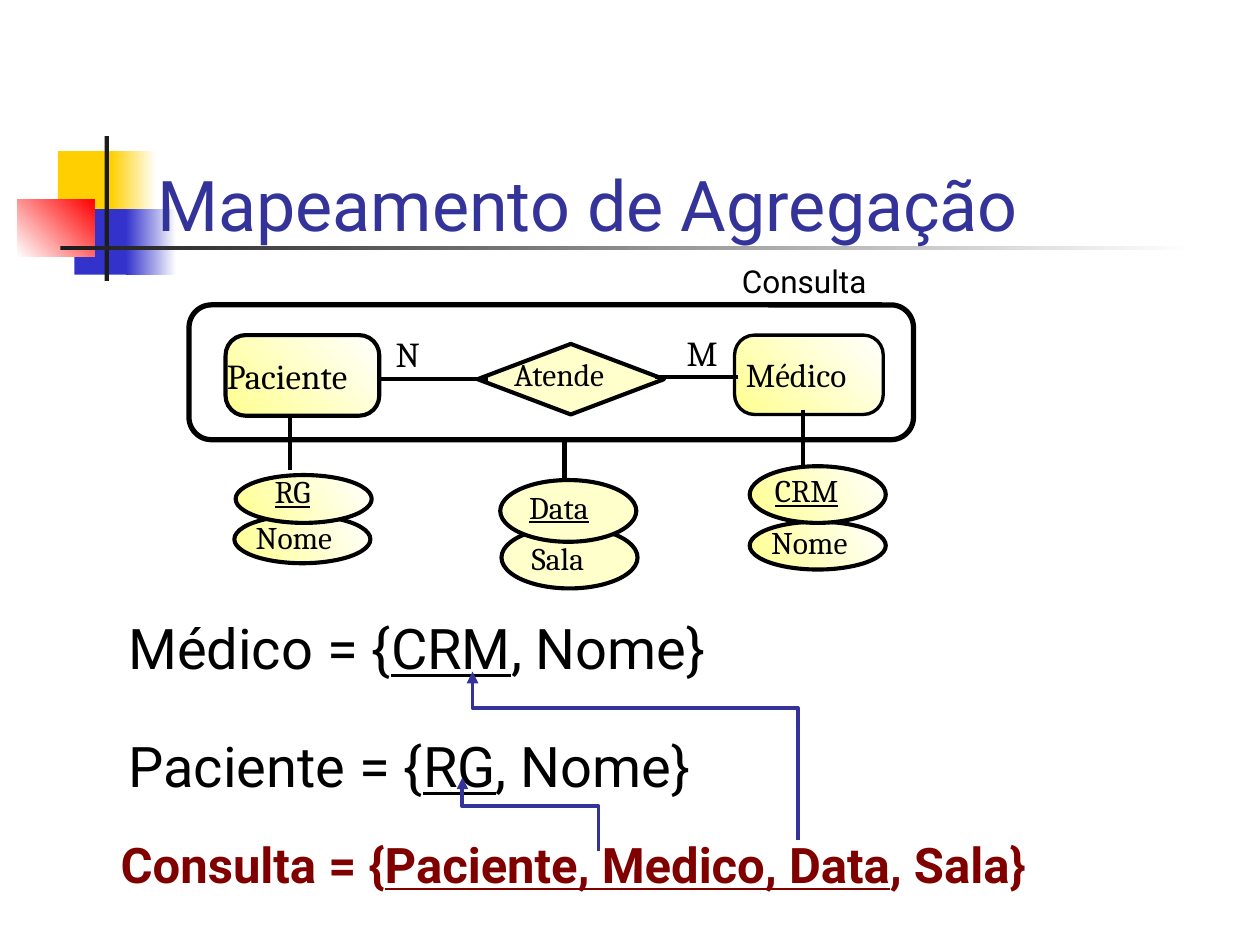
from lxml import etree
from pptx import Presentation
from pptx.dml.color import RGBColor
from pptx.enum.shapes import MSO_CONNECTOR, MSO_SHAPE
from pptx.enum.text import MSO_ANCHOR, PP_ALIGN
from pptx.oxml.ns import qn
from pptx.util import Inches, Pt

RECT, ROUND = MSO_SHAPE.RECTANGLE, MSO_SHAPE.ROUNDED_RECTANGLE
OVAL, RHOMB = MSO_SHAPE.OVAL, MSO_SHAPE.DIAMOND
LINE, LEFT = MSO_CONNECTOR.STRAIGHT, PP_ALIGN.LEFT
TOP, LOW = MSO_ANCHOR.TOP, MSO_ANCHOR.BOTTOM

BLACK = RGBColor(0, 0, 0)
WHITE = RGBColor(255, 255, 255)
INK = RGBColor(0x1C, 0x1C, 0x1C)
GOLD = RGBColor(0xFF, 0xCF, 0x01)
BLUE = RGBColor(0x33, 0x33, 0xCC)
NAVY = RGBColor(0x33, 0x33, 0x99)
RED = RGBColor(255, 0, 0)
WINE = RGBColor(0x80, 0, 0)
CREAM = RGBColor(0xFF, 0xFF, 0xCC)
LEMON = RGBColor(0xFF, 0xFF, 0x90)

# Gradients: first colour, last colour, counter-clockwise angle
BOX_FADE = (LEMON, WHITE, 45)
OVAL_FADE = (LEMON, WHITE, 30)

SANS, SERIF = "Roboto", "Cambria"
COLS, ROWS = 100, 75
PEN = 2.35


class Page:
    """Slide on a grid of 100 columns and 75 rows."""

    def __init__(self, deck):
        deck.slide_width, deck.slide_height = Inches(10), Inches(7.5)
        self.cell_w = deck.slide_width / COLS
        self.cell_h = deck.slide_height / ROWS
        self.slide = deck.slides.add_slide(deck.slide_layouts[5])
        self.shapes = self.slide.shapes

    def spot(self, col, row):
        return round(col * self.cell_w), round(row * self.cell_h)

    def area(self, box):
        return self.spot(*box[:2]) + self.spot(*box[2:])

    def paint(self, shape, fill):
        if fill is None:
            shape.fill.background()
        elif isinstance(fill, RGBColor):
            shape.fill.solid()
            shape.fill.fore_color.rgb = fill
        else:
            shape.fill.gradient()
            shape.fill.gradient_angle = fill[2]
            for stop, color in zip(shape.fill.gradient_stops, fill):
                stop.color.rgb = color

    def shape(self, kind, box, fill=None, pen=None, bend=None):
        shape = self.shapes.add_shape(kind, *self.area(box))
        shape.shadow.inherit = False
        self.paint(shape, fill)
        if pen:
            shape.line.color.rgb = BLACK
            shape.line.width = Pt(pen)
        else:
            shape.line.fill.background()
        if bend:
            shape.adjustments[0] = bend

    def put(self, frame, paras, size, font, color, bold=False, space=1):
        """Each paragraph is a list of runs; a leading _ underlines a run."""
        frame.word_wrap = True
        for i, runs in enumerate(paras):
            para = frame.paragraphs[0] if i == 0 else frame.add_paragraph()
            para.alignment = LEFT
            para.line_spacing = space
            if i:
                para.space_before = Pt(2)
            for text in runs:
                run = para.add_run()
                run.text = text.lstrip("_")
                run.font.size, run.font.name = Pt(size), font
                run.font.bold = bold
                run.font.underline = text.startswith("_")
                run.font.color.rgb = color

    def inset(self, frame, x=0, y=0):
        frame.margin_left = frame.margin_right = Inches(x)
        frame.margin_top = frame.margin_bottom = Inches(y)

    def title(self, text, box):
        title = self.shapes.title
        title.left, title.top, title.width, title.height = self.area(box)
        self.inset(title.text_frame)
        title.text_frame.vertical_anchor = LOW
        self.put(title.text_frame, [[text]], 40, SANS, NAVY)
        # Bring in front of the emblem
        self.shapes.element.append(title.element)

    def label(self, text, box, size=18):
        frame = self.shapes.add_textbox(*self.area(box)).text_frame
        self.inset(frame)
        self.put(frame, [[text]], size, SERIF, BLACK)

    def text(self, paras, box, size, color=BLACK, bold=False, space=1):
        frame = self.shapes.add_textbox(*self.area(box)).text_frame
        self.inset(frame, 0.1, 0.05)
        frame.vertical_anchor = TOP
        self.put(frame, paras, size, SANS, color, bold, space)

    def link(self, start, end):
        link = self.shapes.add_connector(
            LINE, *self.spot(*start), *self.spot(*end))
        link.line.color.rgb = BLACK
        link.line.width = Pt(PEN)
        etree.SubElement(link.element.spPr, qn("a:effectLst"))

    def arrow(self, points):
        start, *rest = [self.spot(*point) for point in points]
        pen = self.shapes.build_freeform(*start)
        pen.add_line_segments(rest, close=False)
        arrow = pen.convert_to_shape()
        arrow.shadow.inherit = False
        arrow.fill.background()
        arrow.line.color.rgb = NAVY
        arrow.line.width = Pt(2.25)
        etree.SubElement(arrow.element.spPr.find(qn("a:ln")),
                         qn("a:tailEnd"), type="triangle")


def main():
    deck = Presentation()
    page = Page(deck)

    # Emblem and rule behind the title
    for box, fill in (
        ((4.6, 12, 4.8, 5.2), GOLD),
        ((8.8, 12, 3.6, 5.2), (GOLD, WHITE, 0)),
        ((5.9, 16.6, 4.6, 5.2), BLUE),
        ((10, 16.6, 4, 5.2), (BLUE, WHITE, 0)),
        ((1.4, 15.8, 6.1, 4.6), (WHITE, RED, 45)),
        ((8.3, 10.8, 0.35, 11.5), INK),
        ((4.8, 19.5, 90, 0.35), (INK, WHITE, 0)),
    ):
        page.shape(RECT, box, fill)
    page.title("Mapeamento de Agregação", (12.5, 12.8, 84.4, 6.7))

    # Relations
    page.text([["Médico = {", "_CRM", ", Nome}"],
               ["Paciente = {", "_RG", ", Nome}"]],
              (9.2, 44.5, 85, 21.7), 32, space=1.7)

    # Entities and relationship
    page.shape(RHOMB, (37.9, 27.3, 14.8, 5.6), CREAM, PEN)
    page.shape(ROUND, (17.9, 26.6, 12.2, 6.4), BOX_FADE, PEN, 0.25)
    page.shape(ROUND, (58.3, 26.6, 11.8, 6.3), BOX_FADE, 1.9, 0.25)
    page.label("Paciente", (18, 28.1, 14.5, 3.3), 20)
    page.label("Médico", (59.2, 28.1, 12.5, 3.2), 19)
    page.label("Atende", (40.8, 28.2, 10, 3))
    page.label("N", (31.4, 26.4, 4.2, 3.3), 20)
    page.label("M", (54.5, 26.3, 3.4, 3.3), 20)

    # Lines of the diagram
    for start, end in (
        ((58.6, 29.9), (52, 29.9)),
        ((38.7, 30.1), (29.9, 30.1)),
        ((23, 33), (23, 37.3)),
        ((44.8, 34.9), (44.8, 38.3)),
        ((63.7, 32.5), (63.7, 37.3)),
    ):
        page.link(start, end)

    # Aggregation frame
    page.shape(ROUND, (15, 24.2, 57.5, 10.7), None, 3, 0.167)
    page.text([["Consulta"]], (57.9, 20.3, 12.3, 4), 18)

    # Attributes: oval left, top, height, fill, then text left and top
    for text, left, top, high, fill, col, row in (
        ("Sala", 39.8, 41.8, 4.9, CREAM, 42.2, 42.8),
        ("_Data", 39.7, 38.1, 4.9, CREAM, 42, 38.7),
        ("Nome", 59.5, 41.4, 3.8, OVAL_FADE, 61.2, 41.5),
        ("Nome", 18.6, 40.9, 3.8, OVAL_FADE, 20.3, 41.1),
        ("_RG", 18.7, 37.7, 3.8, OVAL_FADE, 21.8, 37.5),
        ("_CRM", 59.5, 37, 4.5, OVAL_FADE, 61.5, 37.4),
    ):
        page.shape(OVAL, (left, top, 10.8, high), fill, PEN)
        page.label(text, (col, row, 8, 3))

    # Relation of the aggregation, with its references
    page.text([["Consulta = {", "_Paciente, Medico, Data", ", Sala}"]],
              (8.6, 62.5, 80.8, 9), 28, WINE, True, 1.7)
    page.arrow([(47.5, 67.5), (47.5, 64), (36.7, 64), (36.7, 61.7)])
    page.arrow([(63.3, 66.7), (63.3, 56.2), (37.5, 56.2), (37.5, 53.3)])

    deck.save("out.pptx")


if __name__ == "__main__":
    main()
